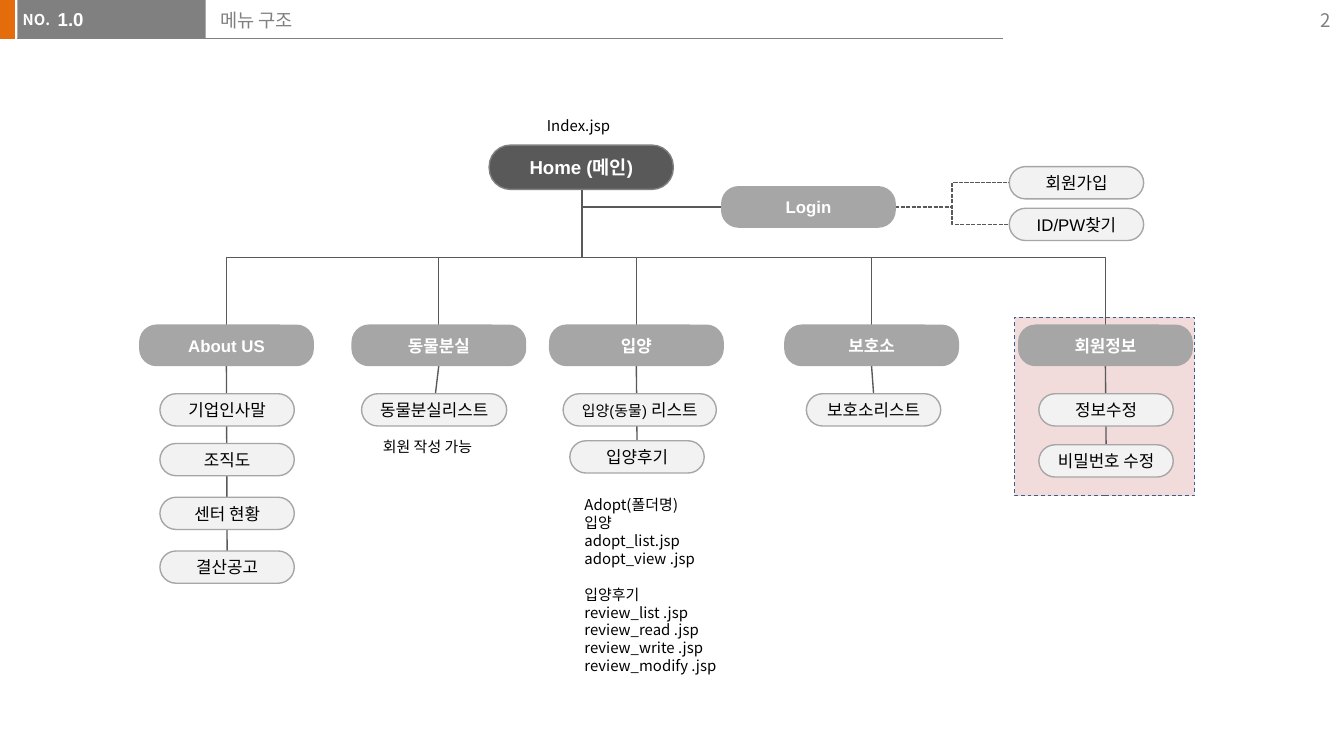
from dataclasses import dataclass

from lxml import etree
from pptx import Presentation
from pptx import util as u
from pptx.dml.color import RGBColor
from pptx.enum import dml, shapes, text
from pptx.oxml import ns


@dataclass(frozen=True)
class Theme:
    latin: str = "Arial"
    korean: str = "Noto Sans CJK KR"
    accent: str = "E46C0A"
    gray: str = "808080"
    line: str = "595959"
    menu: str = "A6A6A6"
    item: str = "F2F2F2"
    panel: str = "F2DCDB"
    panel_line: str = "3A5F8C"
    white: str = "FFFFFF"
    black: str = "000000"
    title_size: float = 10
    menu_size: float = 9
    note_size: float = 8


THEME = Theme()
HOME_X, HOME_BOTTOM = 4.33, 1.41
MENU_TOP, MENU_WIDTH, MENU_HEIGHT = 2.42, 1.29, 0.3
ITEM_WIDTH, ITEM_HEIGHT = 1, 0.24
LOGIN_X, LOGIN_Y = 5.37, 1.54

MENUS = [
    (1.04, "About US", 1.69, [("기업인사말", 1.19, 2.93, 1), ("조직도", 1.19, 3.3, 1),
                              ("센터 현황", 1.19, 3.7, 1), ("결산공고", 1.19, 4.1, 1)]),
    (2.62, "동물분실", 3.24, [("동물분실리스트", 2.69, 2.93, 1.08)]),
    (4.09, "입양", 4.74, [("입양(동물) |리스트", 4.19, 2.93, 1.14),
                          ("입양후기", 4.24, 3.28, 1)]),
    (5.84, "보호소", 6.5, [("보호소리스트", 6, 2.93, 1)]),
    (7.58, "회원정보", 8.23, [("정보수정", 7.73, 2.93, 1),
                              ("비밀번호 수정", 7.73, 3.31, 1)]),
]
LOGIN_ITEMS = [("회원가입", 1.24), ("ID/PW찾기", 1.55)]
ADOPT_FILES = ["Adopt(폴더명)", "입양", "adopt_list.jsp", "adopt_view .jsp"]
REVIEW_FILES = ["입양후기", "review_list .jsp", "review_read .jsp",
                "review_write .jsp", "review_modify .jsp"]


def style_run(run, size, color, font, bold=False):
    run.font.size = u.Pt(size)
    run.font.name = font
    run.font.bold = bold
    run.font.color.rgb = RGBColor.from_string(color)
    east_asian = etree.SubElement(run.font._element, ns.qn("a:ea"))
    east_asian.set("typeface", THEME.korean)


def style_line(line, color, width, dash=None):
    line.color.rgb = RGBColor.from_string(color)
    line.width = u.Pt(width)
    if dash:
        line.dash_style = dash


def add_box(slide, box, fill, line=None, width=0.75, dash=None, adjustment=None):
    preset = shapes.MSO_SHAPE.RECTANGLE if adjustment is None else shapes.MSO_SHAPE.ROUNDED_RECTANGLE
    shape = slide.shapes.add_shape(preset, *map(u.Inches, box))
    shape.shadow.inherit = False
    shape.fill.solid()
    shape.fill.fore_color.rgb = RGBColor.from_string(fill)
    if adjustment is not None:
        shape.adjustments[0] = adjustment
    if line:
        style_line(shape.line, line, width, dash)
    else:
        shape.line.fill.background()
    return shape


def add_pill(slide, box, label, fill, line, adjustment, size, color, bold=False):
    shape = add_box(slide, box, fill, line, adjustment=adjustment)
    frame = shape.text_frame
    frame.margin_left = frame.margin_right = u.Inches(0.02)
    frame.margin_top = frame.margin_bottom = u.Inches(0.02)
    frame.vertical_anchor = text.MSO_ANCHOR.MIDDLE
    paragraph = frame.paragraphs[0]
    paragraph.alignment = text.PP_ALIGN.CENTER
    parts = label.split("|")
    for index, part in enumerate(parts):
        run = paragraph.add_run()
        run.text = part
        smaller = index < len(parts) - 1
        style_run(run, THEME.note_size if smaller else size, color, THEME.latin, bold)


def add_menu(slide, left, top, label):
    add_pill(slide, (left, top, MENU_WIDTH, MENU_HEIGHT), label, THEME.menu,
             THEME.menu, 0.417, THEME.menu_size, THEME.white, True)


def add_item(slide, label, left, top, width=ITEM_WIDTH):
    add_pill(slide, (left, top, width, ITEM_HEIGHT), label, THEME.item,
             THEME.menu, 0.5, THEME.menu_size, THEME.black)


def add_text(slide, box, lines, size, color, font=THEME.korean, bold=False,
             align=text.PP_ALIGN.LEFT, wrap=True, side_margin=0.1,
             anchor=text.MSO_ANCHOR.TOP):
    frame = slide.shapes.add_textbox(*map(u.Inches, box)).text_frame
    frame.word_wrap = wrap
    frame.vertical_anchor = anchor
    frame.margin_left = frame.margin_right = u.Inches(side_margin)
    frame.text = "\n".join(lines)
    for paragraph in frame.paragraphs:
        paragraph.alignment = align
        for run in paragraph.runs:
            style_run(run, size, color, font, bold)
    return frame


def add_link(slide, start, end, kind=shapes.MSO_CONNECTOR.STRAIGHT,
             color=THEME.line, width=0.75, dash=None):
    connector = slide.shapes.add_connector(kind, *map(u.Inches, (*start, *end)))
    style_line(connector.line, color, width, dash)
    etree.SubElement(connector._element.spPr, ns.qn("a:effectLst"))
    return connector


def add_drop(slide, start, end, preset="bentConnector3"):
    across, down = abs(end[0] - start[0]), end[1] - start[1]
    left = (start[0] + end[0] - down) / 2
    top = (start[1] + end[1] - across) / 2
    connector = add_link(slide, (left, top), (left + down, top + across),
                         shapes.MSO_CONNECTOR.ELBOW)
    properties = connector._element.spPr
    transform = properties.find(ns.qn("a:xfrm"))
    if end[0] > start[0]:
        transform.set("rot", "16200000")
        transform.set("flipH", "1")
    else:
        transform.set("rot", "5400000")
    properties.find(ns.qn("a:prstGeom")).set("prst", preset)


def add_header(slide):
    add_box(slide, (-0.01, 0, 0.12, 0.29), THEME.accent)
    add_link(slide, (0.13, 0.29), (7.46, 0.29), color=THEME.gray, width=0.5)
    add_box(slide, (0.13, 0, 1.4, 0.29), THEME.gray)
    add_text(slide, (0.07, 0.03, 0.41, 0.24), ["NO."], THEME.note_size,
             THEME.white, bold=True, wrap=False)
    add_text(slide, (0.43, 0.01, 1.1, 0.31), ["1.0"], THEME.title_size,
             THEME.white, THEME.latin, True, side_margin=0)
    add_text(slide, (1.54, 0.02, 5.91, 0.32), ["메뉴 구조"], THEME.title_size, THEME.gray)
    add_text(slide, (9.4, 0, 0.6, 0.3), ["2"], THEME.title_size, THEME.gray,
             align=text.PP_ALIGN.RIGHT, anchor=text.MSO_ANCHOR.MIDDLE)


def add_login(slide):
    add_drop(slide, (HOME_X, HOME_BOTTOM), (LOGIN_X, LOGIN_Y), "bentConnector2")
    for label, top in LOGIN_ITEMS:
        add_link(slide, (LOGIN_X + MENU_WIDTH, LOGIN_Y), (7.51, top + ITEM_HEIGHT / 2),
                 shapes.MSO_CONNECTOR.ELBOW, dash=dml.MSO_LINE.SQUARE_DOT)
        add_item(slide, label, 7.51, top)
    add_menu(slide, LOGIN_X, LOGIN_Y - MENU_HEIGHT / 2, "Login")


def add_branch(slide, left, label, link_end, items):
    center = left + MENU_WIDTH / 2
    add_drop(slide, (HOME_X, HOME_BOTTOM), (center, MENU_TOP))
    add_link(slide, (center, MENU_TOP + MENU_HEIGHT), (link_end, items[-1][2]))
    add_menu(slide, left, MENU_TOP, label)
    for item in items:
        add_item(slide, *item)


def add_notes(slide):
    add_text(slide, (3.66, 0.82, 1.29, 0.24), ["Index.jsp"], THEME.note_size,
             THEME.black, align=text.PP_ALIGN.CENTER)
    add_text(slide, (2.75, 3.21, 1.29, 0.24), ["회원 작성 가능"], THEME.note_size, THEME.black)
    files = add_text(slide, (4.25, 3.64, 1.29, 1.45), ADOPT_FILES + REVIEW_FILES,
                     THEME.note_size, THEME.black)
    files.paragraphs[len(ADOPT_FILES)].space_before = u.Pt(9.6)


def main():
    presentation = Presentation()
    presentation.slide_width = u.Inches(10)
    presentation.slide_height = u.Inches(10) * 9 // 16
    slide = presentation.slides.add_slide(presentation.slide_layouts[6])
    add_header(slide)
    add_box(slide, (7.55, 2.36, 1.34, 1.33), THEME.panel, THEME.panel_line, 0.5,
            dml.MSO_LINE.DASH)
    add_login(slide)
    for menu in MENUS:
        add_branch(slide, *menu)
    add_pill(slide, (3.64, 1.08, 1.37, 0.33), "Home (메인)", THEME.line, THEME.gray,
             0.479, THEME.title_size, THEME.white, True)
    add_notes(slide)
    presentation.save("out.pptx")


main()
